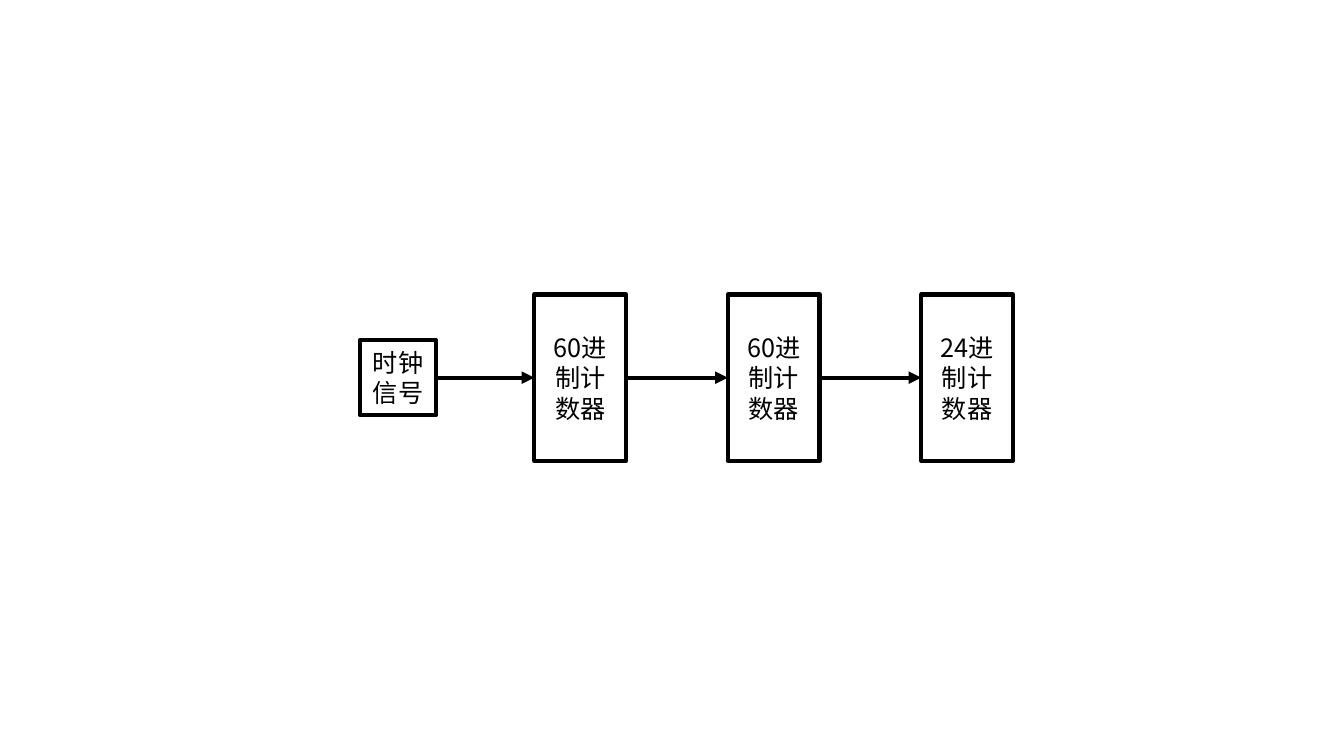
from lxml import etree
from pptx import Presentation
from pptx import util as u
from pptx.dml.color import RGBColor
from pptx.enum import shapes, text
from pptx.oxml.ns import qn

COLORS = {"ink": "000000", "paper": "FFFFFF"}
FONT = "Noto Sans CJK SC"
LINE_WIDTH = 3


def color(name):
    return RGBColor.from_string(COLORS[name])


def write_text(shape, words, size=18, ink="ink", align=text.PP_ALIGN.CENTER):
    frame = shape.text_frame
    frame.word_wrap = True
    frame.vertical_anchor = text.MSO_ANCHOR.MIDDLE
    paragraph = frame.paragraphs[0]
    paragraph.alignment = align
    run = paragraph.add_run()
    run.text = words
    run.font.size = u.Pt(size)
    run.font.name = FONT
    run.font.color.rgb = color(ink)
    etree.SubElement(run.font._element, qn("a:ea"), typeface=FONT)


def add_block(slide, words, left, middle, width, height):
    shape = slide.shapes.add_shape(
        shapes.MSO_SHAPE.RECTANGLE,
        u.Pt(left), u.Pt(middle - height / 2), u.Pt(width), u.Pt(height))
    shape.shadow.inherit = False
    shape.fill.solid()
    shape.fill.fore_color.rgb = color("paper")
    shape.line.color.rgb = color("ink")
    shape.line.width = u.Pt(LINE_WIDTH)
    write_text(shape, words)
    return shape


def add_arrow(slide, source, target):
    connector = slide.shapes.add_connector(shapes.MSO_CONNECTOR.STRAIGHT, 0, 0, 0, 0)
    connector.begin_connect(source, 3)
    connector.end_connect(target, 1)
    connector.line.color.rgb = color("ink")
    connector.line.width = u.Pt(LINE_WIDTH)
    etree.SubElement(connector.line._get_or_add_ln(), qn("a:tailEnd"), type="triangle")
    etree.SubElement(connector._element.spPr, qn("a:effectLst"))


def add_counter_chain(slide, left, top, width, height):
    middle = top + height / 2
    counter_width, pitch = 65.5, 138.2
    counters = ["60进制计数器", "60进制计数器", "24进制计数器"]
    first = left + width - counter_width - pitch * (len(counters) - 1)
    blocks = [add_block(slide, "时钟信号", left, middle, 54.7, 53.4)]
    for index, words in enumerate(counters):
        blocks.append(add_block(
            slide, words, first + index * pitch, middle, counter_width, height))
    for source, target in zip(blocks, blocks[1:]):
        add_arrow(slide, source, target)


presentation = Presentation()
presentation.slide_width = u.Pt(960)
presentation.slide_height = u.Pt(540)
slide = presentation.slides.add_slide(presentation.slide_layouts[6])
add_counter_chain(slide, left=257, top=210.4, width=466.6, height=118.8)
presentation.save("out.pptx")
